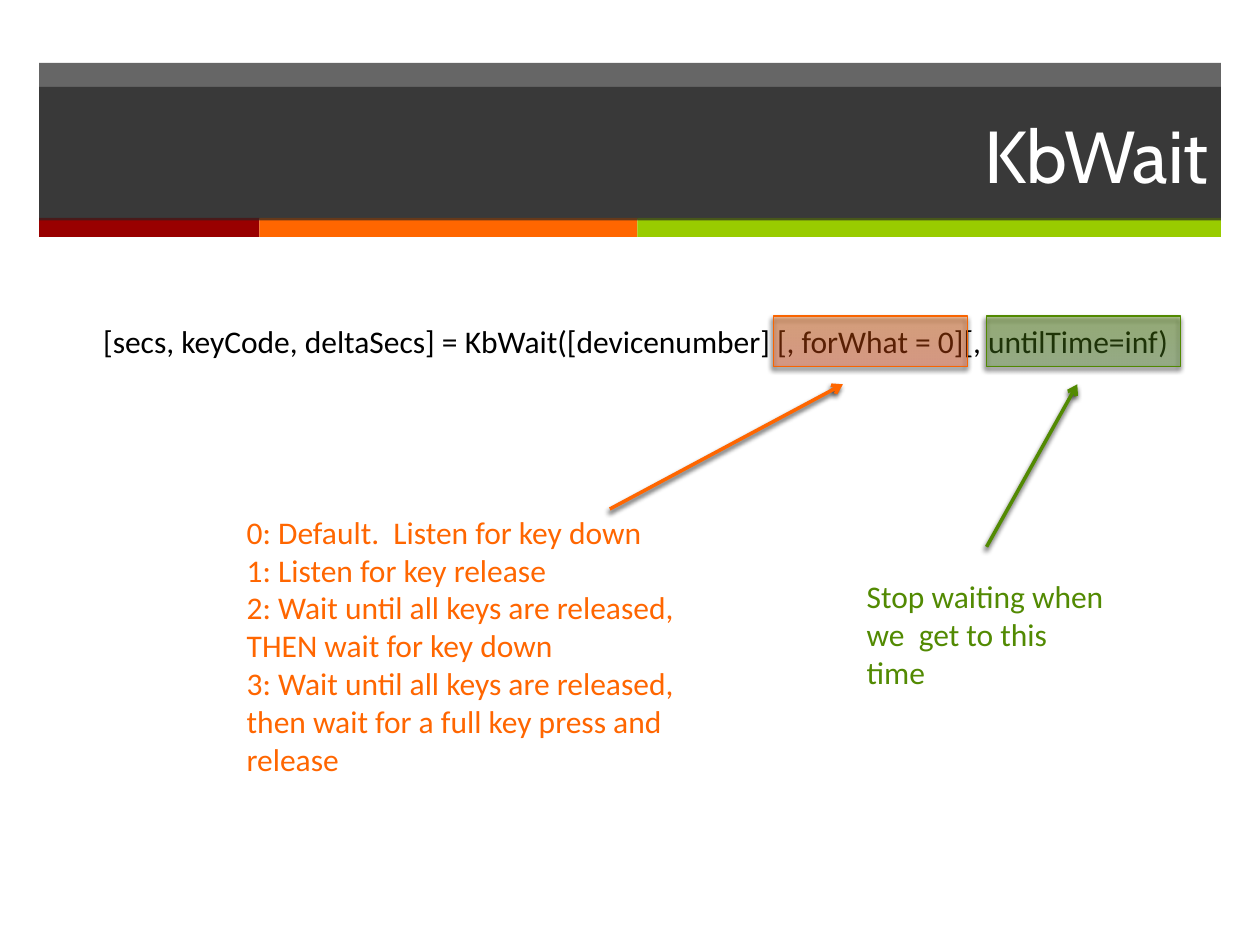
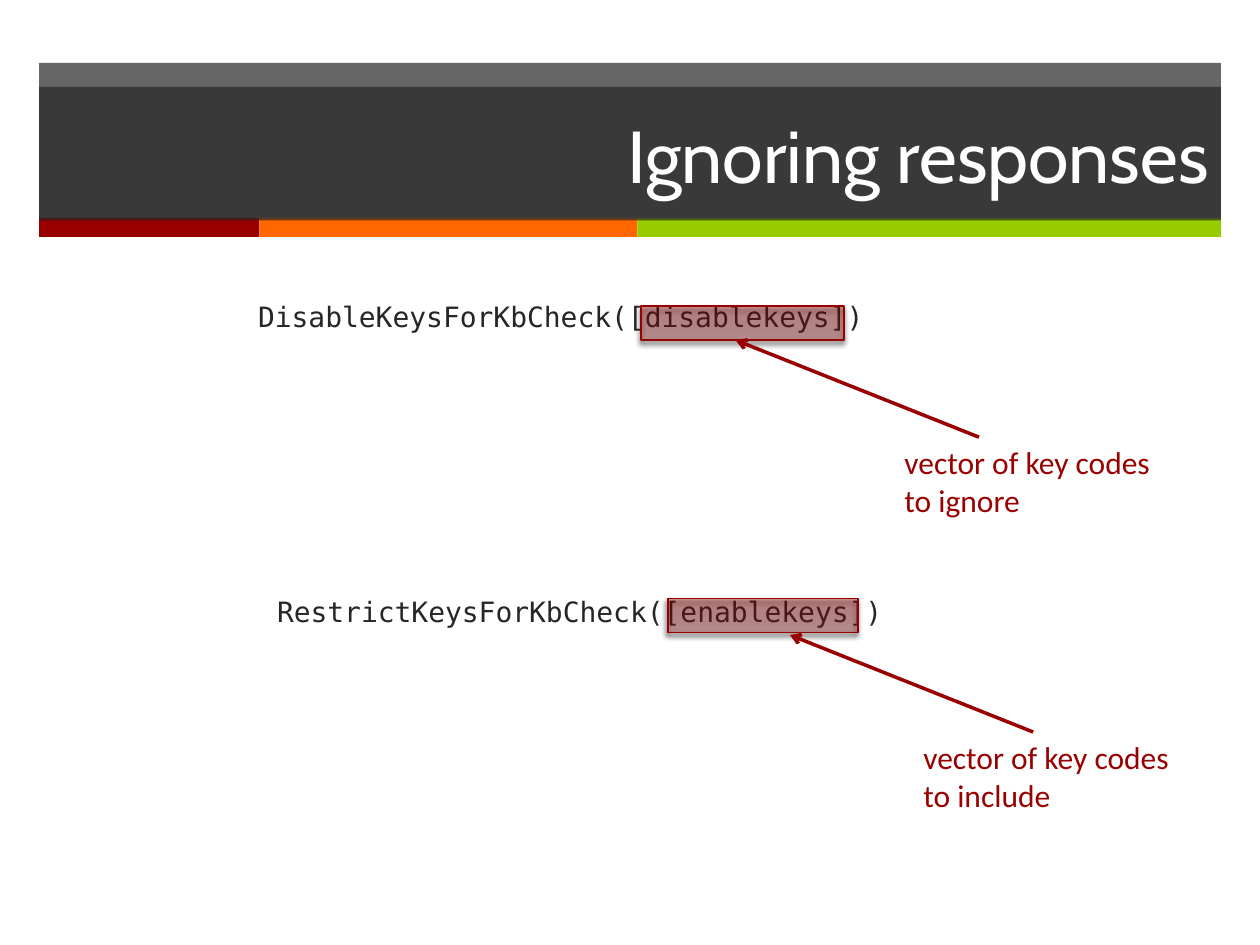
import dataclasses
import typing

import pptx
import pptx.dml.color
import pptx.enum.shapes
import pptx.enum.text
import pptx.oxml.ns
import pptx.oxml.xmlchemy
import pptx.util
import lxml.etree

RGBColor = pptx.dml.color.RGBColor
RECTANGLE = pptx.enum.shapes.MSO_SHAPE.RECTANGLE

SLIDE_WIDTH = pptx.util.Inches(10)
SLIDE_HEIGHT = pptx.util.Inches(7.5)
COLUMNS, ROWS = 100, 75

WHITE = RGBColor(0xFF, 0xFF, 0xFF)
BLACK = RGBColor(0x00, 0x00, 0x00)
CHARCOAL = RGBColor(0x26, 0x26, 0x26)
RED = RGBColor(0x99, 0x00, 0x00)
RED_LIGHT = RGBColor(0x9D, 0x28, 0x28)
RED_EDGE = RGBColor(0x96, 0x00, 0x00)
ORANGE = RGBColor(0xFF, 0x66, 0x00)
ORANGE_LIGHT = RGBColor(0xFF, 0x52, 0x17)
ORANGE_EDGE = RGBColor(0xF9, 0x64, 0x00)
LIME = RGBColor(0x99, 0xCC, 0x00)
GREEN = RGBColor(0x52, 0x8A, 0x02)
GREEN_LIGHT = RGBColor(0x54, 0x8E, 0x2B)
GREEN_DEEP = RGBColor(0x52, 0x8C, 0x00)
GREEN_EDGE = RGBColor(0x51, 0x89, 0x00)

TITLE_FONT, BODY_FONT, CODE_FONT = "Cabin", "Calibri", "DejaVu Sans Mono"
BAND_LEFT, BAND_WIDTH = 3.1, 93.8
STRIPE_TOP, STRIPE_HEIGHT = 17.3, 1.5
STRIPES = ((RED, 17.5), (ORANGE, 30), (LIME, 46.3))


class Area(typing.NamedTuple):
    column: float
    row: float
    width: float
    height: float


@dataclasses.dataclass(frozen=True)
class Tint:
    top: RGBColor
    bottom: RGBColor
    edge: RGBColor
    opacity: int


@dataclasses.dataclass(frozen=True)
class Highlight:
    area: Area
    tint: Tint


@dataclasses.dataclass(frozen=True)
class Arrow:
    start: tuple[float, float]
    end: tuple[float, float]
    color: RGBColor
    shadowed: bool = False


@dataclasses.dataclass(frozen=True)
class Label:
    area: Area
    lines: tuple[str, ...]
    color: RGBColor
    font: str = BODY_FONT
    size: int = 18
    space_before: int = 0


@dataclasses.dataclass(frozen=True)
class Page:
    title: str
    items: tuple[Label | Highlight | Arrow, ...]


RED_TINT = Tint(RED_LIGHT, RED, RED_EDGE, 34)
ORANGE_TINT = Tint(ORANGE_LIGHT, ORANGE, ORANGE_EDGE, 35)
GREEN_TINT = Tint(GREEN_LIGHT, GREEN_DEEP, GREEN_EDGE, 36)


def code_label(column: float, row: float, text: str) -> Label:
    return Label(Area(column, row, 52.8, 5.4), (text,), CHARCOAL, CODE_FONT, 16, 20)


def vector_note(column: float, row: float, text: str) -> Label:
    return Label(Area(column, row, 22.1, 7.1), (text,), RED)


def vector_arrow(column: float, row: float) -> Arrow:
    return Arrow((column, row), (column - 19.3, row - 7.7), RED)


PAGES = (
    Page("KbWait", (
        Label(Area(7.2, 25.1, 88.8, 4),
              ("[secs, keyCode, deltaSecs] = KbWait([devicenumber] [, forWhat = 0][, untilTime=inf)",),
              BLACK),
        Highlight(Area(61.4, 25.1, 15.4, 4), ORANGE_TINT),
        Arrow((48.4, 40.4), (66.9, 30.5), ORANGE, True),
        Label(Area(18.6, 40.2, 40.7, 22.2), (
            "0: Default.  Listen for key down",
            "1: Listen for key release",
            "2: Wait until all keys are released, THEN wait for key down",
            "3: Wait until all keys are released, then wait for a full key press and release",
        ), ORANGE),
        Highlight(Area(78.3, 25.1, 15.4, 4), GREEN_TINT),
        Arrow((78.3, 43.4), (85.5, 30.5), GREEN, True),
        Label(Area(67.8, 45.3, 21.1, 10.1), ("Stop waiting when we  get to this time",), GREEN),
    )),
    Page("Ignoring responses", (
        code_label(19.5, 23.3, "DisableKeysForKbCheck([disablekeys])"),
        Highlight(Area(50.9, 24.3, 16.1, 2.7), RED_TINT),
        vector_arrow(77.7, 34.7),
        vector_note(70.8, 34.7, "vector of key codes to ignore"),
        code_label(21, 46.7, "RestrictKeysForKbCheck([enablekeys])"),
        Highlight(Area(53, 47.5, 15.1, 2.7), RED_TINT),
        vector_arrow(82, 58.1),
        vector_note(72.3, 58.1, "vector of key codes to include"),
    )),
)


def across(columns: float) -> int:
    return round(SLIDE_WIDTH * columns / COLUMNS)


def down(rows: float) -> int:
    return round(SLIDE_HEIGHT * rows / ROWS)


def bounds(area: Area) -> tuple[int, int, int, int]:
    return across(area.column), down(area.row), across(area.width), down(area.height)


def add_child(parent, tag: str, **attributes: str):
    child = lxml.etree.SubElement(parent, pptx.oxml.ns.qn(tag))
    for name, value in attributes.items():
        child.set(name, value)
    return child


def set_opacity(element, percent: int) -> None:
    for color in element.iter(pptx.oxml.ns.qn("a:srgbClr")):
        add_child(color, "a:alpha", val=str(percent * 1000))


def set_shadow(properties, shadowed: bool) -> None:
    effects = add_child(properties, "a:effectLst")
    if shadowed:
        shadow = add_child(effects, "a:outerShdw", blurRad=str(pptx.util.Pt(3)),
                           dist=str(pptx.util.Pt(2)), dir=str(110 * 60000), rotWithShape="0")
        color = add_child(shadow, "a:srgbClr", val=str(BLACK))
        add_child(color, "a:alpha", val="75000")


def fill_charcoal(shape) -> None:
    shape.fill.solid()
    shape.fill.fore_color.rgb = CHARCOAL
    set_opacity(shape.element.spPr, 70)


def format_text(text_frame, font: str, size: int, color: RGBColor) -> None:
    for paragraph in text_frame.paragraphs:
        for run in paragraph.runs:
            run.font.name = font
            run.font.size = pptx.util.Pt(size)
            run.font.color.rgb = color


def add_bar(slide, area: Area):
    bar = slide.shapes.add_shape(RECTANGLE, *bounds(area))
    bar.shadow.inherit = False
    bar.line.fill.background()
    return bar


def draw_header(slide, text: str) -> None:
    fill_charcoal(add_bar(slide, Area(BAND_LEFT, 5, BAND_WIDTH, 12.4)))
    column = BAND_LEFT
    for color, width in STRIPES:
        stripe = add_bar(slide, Area(column, STRIPE_TOP, width, STRIPE_HEIGHT))
        stripe.fill.solid()
        stripe.fill.fore_color.rgb = color
        column += width

    title = slide.shapes.title
    title.left, title.top, title.width, title.height = bounds(Area(BAND_LEFT, 6.9, BAND_WIDTH, 10.6))
    fill_charcoal(title)
    title.text_frame.text = text
    title.text_frame.vertical_anchor = pptx.enum.text.MSO_ANCHOR.MIDDLE
    title.text_frame.paragraphs[0].alignment = pptx.enum.text.PP_ALIGN.RIGHT
    format_text(title.text_frame, TITLE_FONT, 42, WHITE)
    title.element.getparent().append(title.element)


def draw_label(slide, label: Label) -> None:
    text_frame = slide.shapes.add_textbox(*bounds(label.area)).text_frame
    text_frame.word_wrap = True
    text_frame.text = "\n".join(label.lines)
    for paragraph in text_frame.paragraphs:
        paragraph.space_before = pptx.util.Pt(label.space_before)
    format_text(text_frame, label.font, label.size, label.color)


def draw_highlight(slide, highlight: Highlight) -> None:
    tint = highlight.tint
    box = slide.shapes.add_shape(RECTANGLE, *bounds(highlight.area))
    box.fill.gradient()
    box.fill.gradient_angle = 90
    for stop, color, position in zip(box.fill.gradient_stops, (tint.top, tint.bottom), (0, 1)):
        stop.color.rgb = color
        stop.position = position
    set_opacity(box.element.spPr, tint.opacity)
    box.line.color.rgb = tint.edge
    box.line.width = pptx.util.Pt(1)
    set_shadow(box.element.spPr, True)


def draw_arrow(slide, arrow: Arrow) -> None:
    connector = slide.shapes.add_connector(
        pptx.enum.shapes.MSO_CONNECTOR.STRAIGHT,
        across(arrow.start[0]), down(arrow.start[1]), across(arrow.end[0]), down(arrow.end[1]))
    connector.line.color.rgb = arrow.color
    connector.line.width = pptx.util.Pt(2)
    properties = connector.element.spPr
    add_child(properties.find(pptx.oxml.ns.qn("a:ln")), "a:tailEnd", type="arrow")
    set_shadow(properties, arrow.shadowed)


DRAWERS = {Label: draw_label, Highlight: draw_highlight, Arrow: draw_arrow}


def main() -> None:
    presentation = pptx.Presentation()
    presentation.slide_width = SLIDE_WIDTH
    presentation.slide_height = SLIDE_HEIGHT
    title_only = presentation.slide_layouts.get_by_name("Title Only")
    for page in PAGES:
        slide = presentation.slides.add_slide(title_only)
        draw_header(slide, page.title)
        for item in page.items:
            DRAWERS[type(item)](slide, item)
    presentation.save("out.pptx")


if __name__ == "__main__":
    main()
